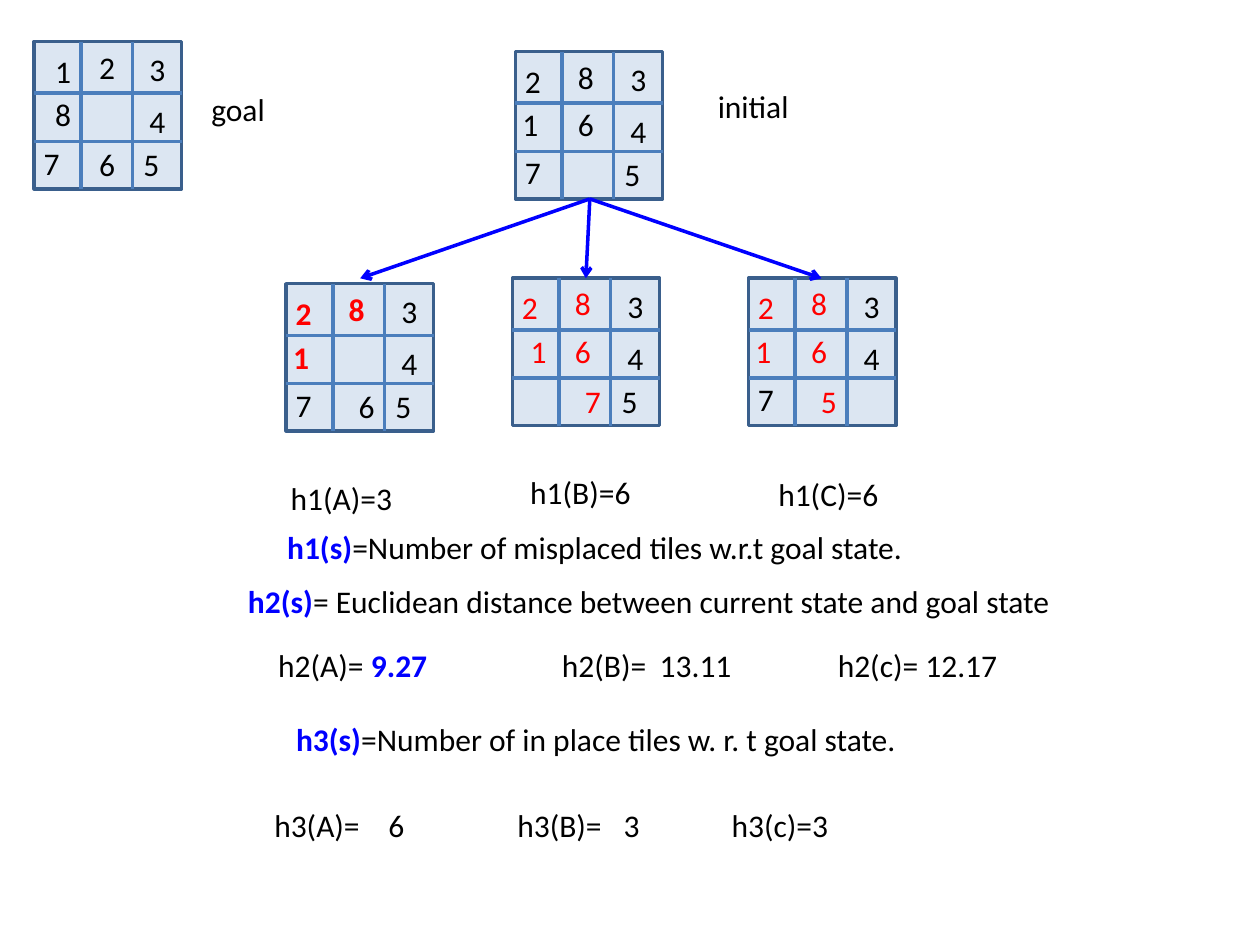
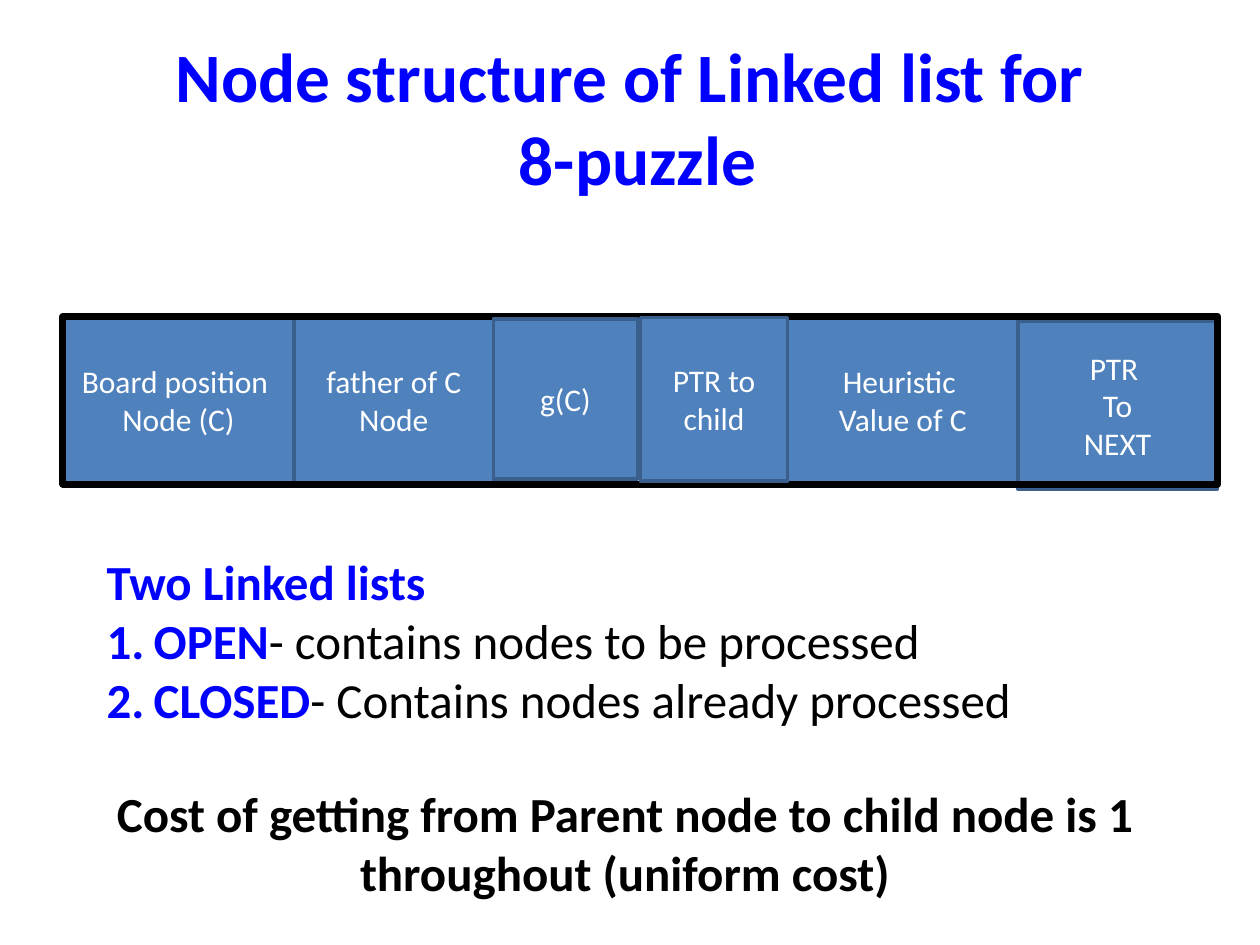
import pptx
import pptx.util
import pptx.dml.color
import pptx.enum.shapes
import pptx.enum.text
import pptx.oxml.ns
import lxml.etree

Cm = pptx.util.Cm
Pt = pptx.util.Pt
RGB = pptx.dml.color.RGBColor
SHAPE = pptx.enum.shapes.MSO_SHAPE
STRAIGHT = pptx.enum.shapes.MSO_CONNECTOR.STRAIGHT
ANCHOR = pptx.enum.text.MSO_ANCHOR
ALIGN = pptx.enum.text.PP_ALIGN
qn = pptx.oxml.ns.qn

BLACK = RGB(0x00, 0x00, 0x00)
WHITE = RGB(0xFF, 0xFF, 0xFF)
RED = RGB(0xFF, 0x00, 0x00)
BLUE = RGB(0x00, 0x00, 0xFF)
PALE = RGB(0xDC, 0xE6, 0xF2)
STEEL = RGB(0x4F, 0x81, 0xBD)
EDGE = RGB(0x3A, 0x5F, 0x8C)
GRID = RGB(0x4B, 0x7E, 0xBC)

FONT = "Calibri"
PLAIN = (BLACK, False)
BOLD = (BLACK, True)
KEY = (BLUE, True)
MOVED = (RED, False)
MOVED_BOLD = (RED, True)

BOARD = 2.97
COLUMN_LINES = (0.94, 1.98)
ROW_LINES = (1.04, 2.01)
SLOTS = (
    (0, 0.08), (1.07, 0), (2.13, 0.05),
    (-0.05, 0.96), (1.07, 0.96), (2.13, 1.09),
    (0, 1.93), (1.27, 1.96), (2.01, 1.96),
)


def add_runs(p, runs, size):
    for text, (color, bold) in runs:
        for i, piece in enumerate(text.split("\v")):
            if i:
                p.add_line_break()
            r = p.add_run()
            r.text = piece
            fmt = {"name": FONT, "size": Pt(size), "bold": bold}
            for key, value in fmt.items():
                setattr(r.font, key, value)
            r.font.color.rgb = color


def fill_text(tf, paras, size, align=ALIGN.LEFT, **frame):
    for key, value in {"word_wrap": True, **frame}.items():
        setattr(tf, key, value)
    for i, runs in enumerate(paras):
        p = tf.add_paragraph() if i else tf.paragraphs[0]
        p.alignment = align
        add_runs(p, runs, size)


def add_text(s, box, paras, size=18, align=ALIGN.LEFT, **frame):
    sp = s.shapes.add_textbox(*map(Cm, box))
    fill_text(sp.text_frame, paras, size, align, **frame)
    return sp.text_frame


def add_rect(s, box, fill, line, width):
    sp = s.shapes.add_shape(SHAPE.RECTANGLE, *map(Cm, box))
    sp.shadow.inherit = False
    if fill is None:
        sp.fill.background()
    else:
        sp.fill.solid()
        sp.fill.fore_color.rgb = fill
    sp.line.color.rgb = line
    sp.line.width = Pt(width)
    return sp


def add_line(s, start, end, color, arrow=False):
    sp = s.shapes.add_connector(STRAIGHT, *map(Cm, start + end))
    sp.line.color.rgb = color
    sp.line.width = Pt(2)
    if arrow:
        ln = sp.line._get_or_add_ln()
        lxml.etree.SubElement(ln, qn("a:tailEnd"), type="arrow")
    lxml.etree.SubElement(sp._element.spPr, qn("a:effectLst"))


def add_board(s, x, y, tiles, moved="", style=MOVED, shifts=None):
    add_rect(s, (x, y, BOARD, BOARD), PALE, EDGE, 2)
    for dx in COLUMN_LINES:
        add_line(s, (x + dx, y), (x + dx, y + BOARD), GRID)
    for dy in ROW_LINES:
        add_line(s, (x, y + dy), (x + BOARD, y + dy), GRID)
    for tile, (dx, dy) in zip(tiles, SLOTS):
        if tile == " ":
            continue
        left = x + dx + (shifts or {}).get(tile, 0)
        add_text(s, (left, y + dy, 0.55, 1.02),
                 [[(tile, style if tile in moved else PLAIN)]],
                 margin_left=Cm(0.19), margin_right=0)


def set_tabs(p, stops):
    tabs = lxml.etree.SubElement(p._p.get_or_add_pPr(), qn("a:tabLst"))
    for stop in stops:
        lxml.etree.SubElement(tabs, qn("a:tab"), pos=str(Cm(stop)), algn="l")


def number(p, indent):
    pPr = p._p.get_or_add_pPr()
    pPr.set("marL", str(Cm(indent)))
    pPr.set("indent", str(-Cm(indent)))
    lxml.etree.SubElement(pPr, qn("a:buFont"), typeface="+mj-lt")
    lxml.etree.SubElement(pPr, qn("a:buAutoNum"), type="arabicPeriod")


def heuristics_slide(s):
    add_board(s, 10.39, 1.04, "28316475"[:3] + "1647 5")
    add_board(s, 5.77, 5.72, "2831 4765", "281", MOVED_BOLD)
    add_board(s, 10.33, 5.61, "283164 75", "28167", shifts={"1": 0.23})
    add_board(s, 15.09, 5.61, "28316475 ", "28165")
    for x in (7.26, 11.81, 16.56):
        add_line(s, (11.89, 4.01), (x, 5.61), BLUE, arrow=True)
    add_board(s, 0.69, 0.84, "1238 4765",
              shifts={"1": 0.23, "2": 0.05, "8": 0.28, "6": -0.15})

    labels = (
        (14.22, 1.63, "initial"), (4.01, 1.7, "goal"),
        (5.61, 9.53, "h1(A)=3"), (10.44, 9.42, "h1(B)=6"),
        (15.44, 9.45, "h1(C)=6"),
    )
    for x, y, text in labels:
        add_text(s, (x, y, 2.82, 1.02), [[(text, PLAIN)]])

    definitions = (
        (5.54, 10.52, 15.44, "h1(s)",
         "=Number of misplaced tiles w.r.t goal state."),
        (4.75, 11.61, 17.22, "h2(s)",
         "= Euclidean distance between current state and goal state "),
        (5.72, 14.4, 15.44, "h3(s)",
         "=Number of in place tiles w. r. t goal state."),
    )
    for x, y, w, name, meaning in definitions:
        add_text(s, (x, y, w, 1.02), [[(name, KEY), (meaning, PLAIN)]])

    values = (
        (5.36, 12.9, (5.72, 7.69, 11.28),
         [("h2(A)= ", PLAIN), ("9.27", KEY),
          ("\th2(B)=\t13.11\th2(c)= 12.17 ", PLAIN)]),
        (5.28, 16.13, (2.3, 4.9, 7.04, 9.22),
         [("h3(A)=\t6\th3(B)=\t3\th3(c)=3 ", PLAIN)]),
    )
    for x, y, stops, runs in values:
        tf = add_text(s, (x, y, 16.03, 1.02), [runs])
        set_tabs(tf.paragraphs[0], stops)


def add_field(s, box, *lines):
    sp = add_rect(s, box, STEEL, EDGE, 2)
    fill_text(sp.text_frame, [[(line, (WHITE, False))] for line in lines],
              18, ALIGN.CENTER, vertical_anchor=ANCHOR.MIDDLE)


def node_slide(s):
    add_text(s, (1.27, 0.76, 22.86, 3.18),
             [[("Node structure of Linked list for\v 8-puzzle", KEY)]],
             39.6, ALIGN.CENTER, vertical_anchor=ANCHOR.MIDDLE)

    top, height = 6.38, 3.38
    add_field(s, (1.27, top, 4.66, height), "Board position ", "Node (C)")
    add_field(s, (5.93, top, 4.02, height), "father of C", "Node")
    add_field(s, (15.88, top, 4.64, height), "Heuristic ", "Value of C")
    add_field(s, (20.52, 6.48, 4.02, height), "PTR ", "To", "NEXT")
    add_rect(s, (1.27, top, 23.28, height), None, BLACK, 4)

    tf = add_text(s, (1.9, 11, 20.96, 3.84), [
        [("Two Linked lists", KEY)],
        [("OPEN", KEY), ("- contains nodes to be processed", PLAIN)],
        [("CLOSED", KEY), ("- Contains nodes already processed", PLAIN)],
    ], 28)
    for p in tf.paragraphs[1:]:
        number(p, 0.95)

    add_field(s, (9.95, 6.43, 2.9, 3.23), "g(C)")
    add_field(s, (12.91, 6.4, 2.97, 3.3), "PTR to child")
    add_text(s, (1.06, 15.67, 23.07, 2.64),
             [[("Cost of getting from Parent node to child node is 1 "
                "throughout (uniform cost)", BOLD)]], 28, ALIGN.CENTER)


def main():
    prs = pptx.Presentation()
    prs.slide_width, prs.slide_height = Cm(25.4), Cm(19.05)
    for build in (heuristics_slide, node_slide):
        build(prs.slides.add_slide(prs.slide_layouts[6]))
    prs.save("out.pptx")


main()
